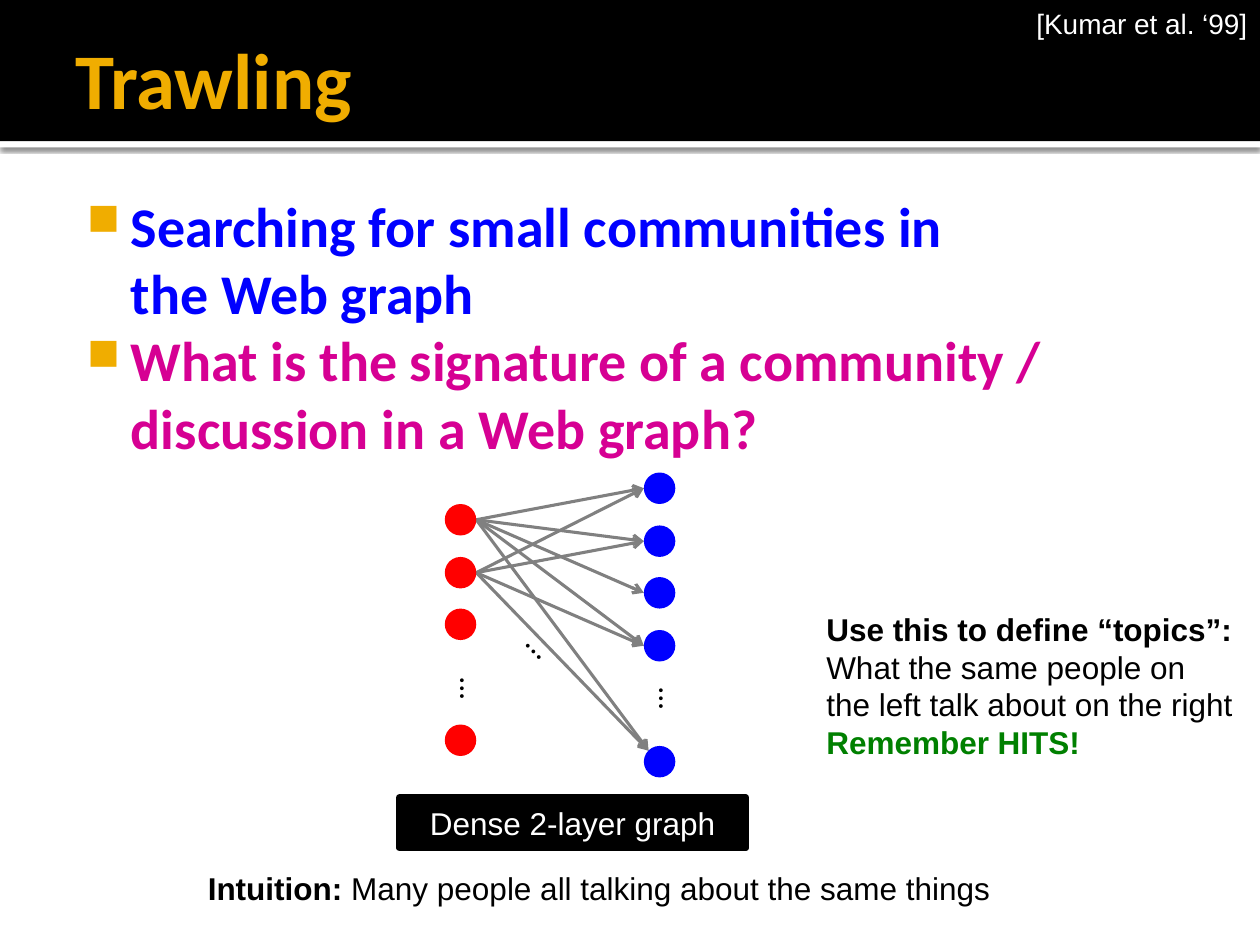
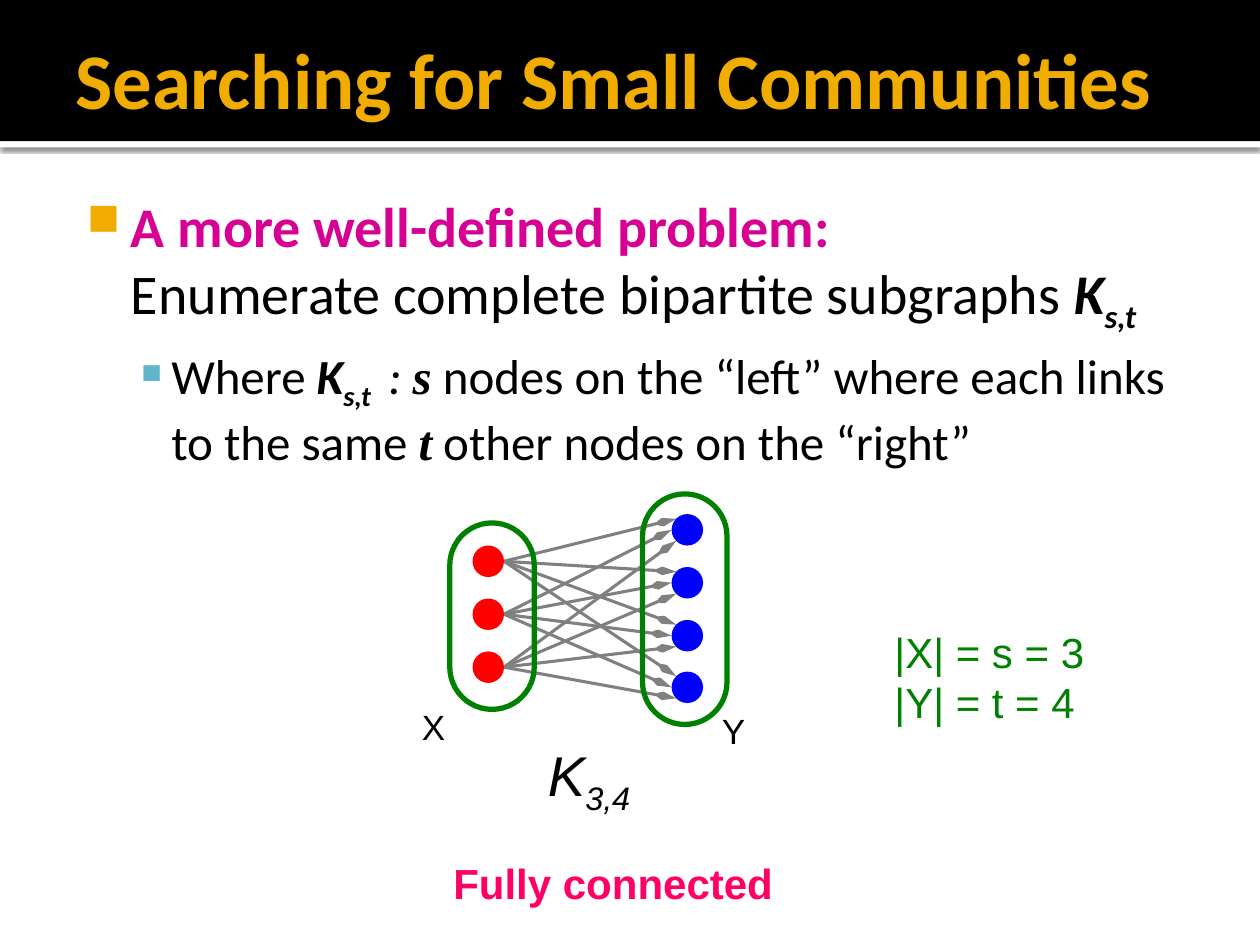
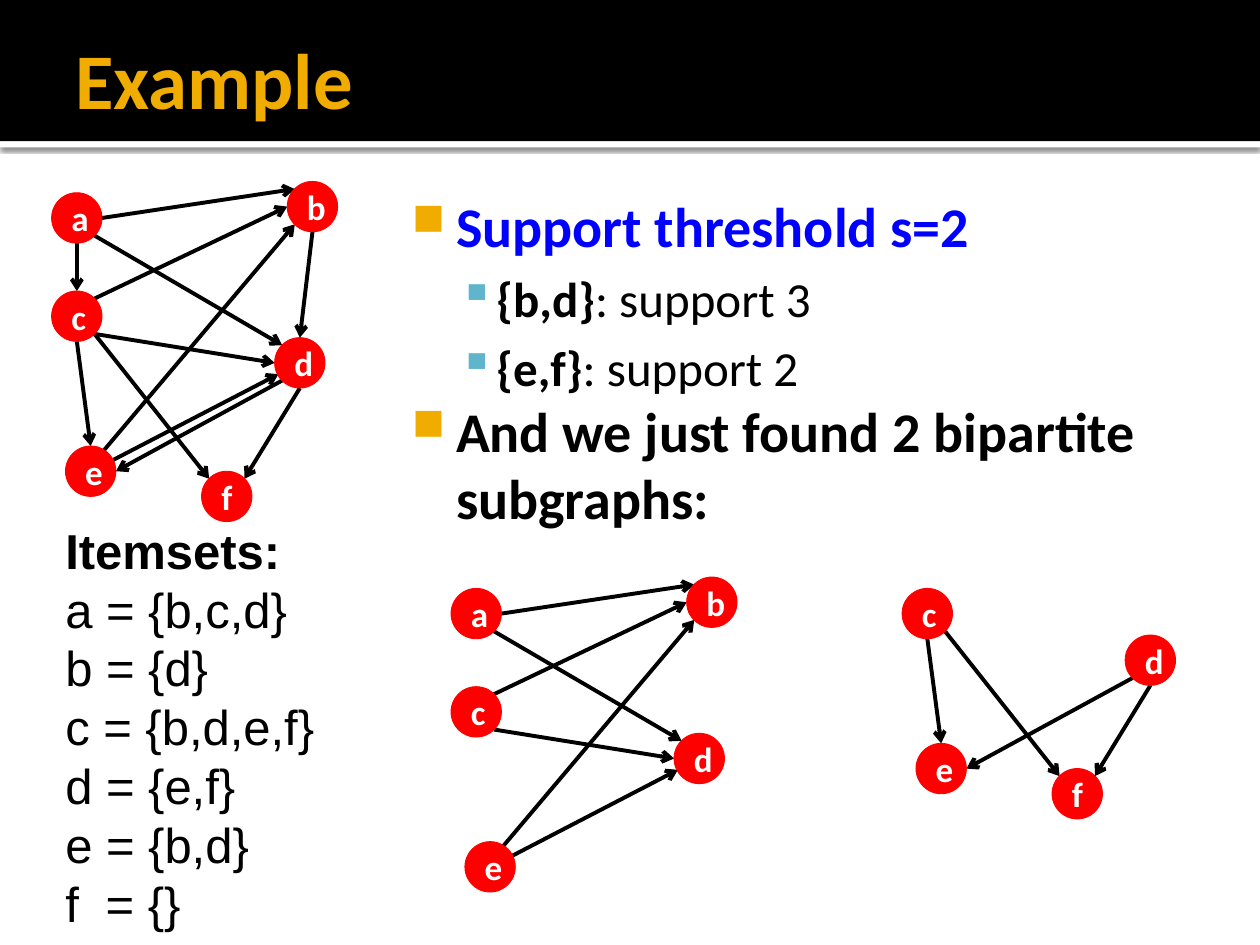
from lxml.etree import SubElement
from pptx import Presentation
from pptx.dml.color import RGBColor
from pptx.enum.shapes import MSO_CONNECTOR, MSO_SHAPE
from pptx.enum.text import MSO_ANCHOR, MSO_AUTO_SIZE, PP_ALIGN
from pptx.oxml.ns import qn
from pptx.util import Emu, Pt

PX = 9144
BLACK, WHITE, GREY = "000000", "FFFFFF", "808080"
GOLD, TEAL, MAGENTA, PINK = "F0AD00", "60B5CC", "D60093", "FF0066"
RED, BLUE, GREEN = "FF0000", "0000FF", "008000"

TITLE = {"font": "Calibri", "size": 45, "color": GOLD, "bold": True}
POINT = {"font": "Calibri", "size": 32, "color": BLACK, "bold": True,
         "bullet": ("■", GOLD, 80, 48, 35)}
SUBPOINT = {"font": "Calibri", "size": 28, "color": BLACK, "level": 1, "before": 5.6,
            "bullet": ("▪", TEAL, 100, 80, 30)}
LABEL = {"font": "Arial", "size": 18, "color": BLACK}
CENTERED = {**LABEL, "align": PP_ALIGN.CENTER}
ITEM = {**LABEL, "size": 28}
DOTS = {**LABEL, "font": "Calibri"}
NODE_NAME = {"font": "Calibri", "size": 20, "color": WHITE, "bold": True, "align": PP_ALIGN.CENTER}

STRONG, PLAIN = {"bold": True}, {"bold": False}
SYMBOL = {"bold": True, "italic": True}
SUBSCRIPT = {**SYMBOL, "baseline": -25000}
TIMES = {**SYMBOL, "font": "Times New Roman"}

TRAWLING_POINTS = [
    ({**POINT, "color": BLUE}, "Searching for small communities in \nthe Web graph"),
    ({**POINT, "color": MAGENTA}, "What is the signature of a community / discussion in a Web graph?"),
]
TRAWLING_LABELS = [
    ((810, 0, 190, 37), False, 0,
     [({**LABEL, "size": 16, "color": WHITE, "align": PP_ALIGN.RIGHT}, "[Kumar et al. ‘99]")]),
    ((117, 685, 717, 40), True, 0,
     [(CENTERED, [("Intuition:", STRONG), (" Many people all talking about the same things", {})])]),
    ((338, 525, 40, 40), False, 270, [(DOTS, "…")]),
    ((496, 533, 40, 40), False, 270, [(DOTS, "…")]),
    ((396, 502, 40, 40), False, 225.9, [(DOTS, "…")]),
    ((646, 479, 346, 131), False, 0,
     [({**LABEL, "bold": True}, "Use this to define “topics”:"),
      (LABEL, "What the same people on \nthe left talk about on the right"),
      ({**LABEL, "color": GREEN, "bold": True}, "Remember HITS!")]),
]
DENSE_LEFT = [(353, y) for y in (400, 442, 483, 575)]
DENSE_RIGHT = [(511, y) for y in (375, 417, 458, 500, 592)]
DENSE_LINKS = {0: (0, 1, 2, 3, 4), 1: (0, 1, 3, 4)}

COMMUNITY_POINTS = [
    (POINT, [("A more well-defined problem:\n", {"color": MAGENTA}),
             ("Enumerate complete bipartite subgraphs ", PLAIN),
             ("K", SYMBOL), ("s,t", SUBSCRIPT)]),
    (SUBPOINT, [("Where ", {}), ("K", SYMBOL), ("s,t ", SUBSCRIPT), (" : ", {"italic": True}),
                ("s", TIMES), (" nodes on the “left” where each links to the same ", {}),
                ("t", TIMES), (" other nodes on the “right”", {})]),
]
COMMUNITY_LABELS = [
    ((425, 583, 92, 64), False, 0,
     [({**LABEL, "size": 32, "italic": True}, [("K", {}), ("3,4", {"baseline": -25000})])]),
    ((700, 492, 172, 91), False, 0,
     [({**LABEL, "size": 24, "color": GREEN}, text) for text in ("|X| = s = 3", "|Y| = t = 4")]),
    ((325, 555, 39, 44), False, 0, [({**LABEL, "size": 20}, "X")]),
    ((563, 558, 39, 44), False, 0, [({**LABEL, "size": 20}, "Y")]),
    ((350, 676, 276, 50), False, 0,
     [({**LABEL, "size": 24, "color": PINK, "bold": True}, "Fully connected")]),
]
FULL_LEFT = [(375, y) for y in (433, 475, 517)]
FULL_RIGHT = [(533, y) for y in (408, 450, 492, 533)]
FULL_ENTRY_SIDES = ("NW", "W", "SW")
SET_OUTLINES = [(357, 415, 67, 148), (510, 392, 67, 183)]

EXAMPLE_POINTS = [
    ({**POINT, "color": BLUE}, "Support threshold s=2"),
    (SUBPOINT, [("{b,d}", STRONG), (": support 3", {})]),
    (SUBPOINT, [("{e,f}", STRONG), (": support 2", {})]),
    (POINT, "And we just found 2 bipartite subgraphs:"),
]
ITEMSETS = [({**ITEM, "bold": True}, "Itemsets:")] + [
    (ITEM, text) for text in ("a = {b,c,d}", "b = {d}", "c = {b,d,e,f}", "d = {e,f}", "e = {b,d}")
] + [({**ITEM, "tab": 32}, "f\t= {}")]
LETTERS = {"a": (41, 153), "b": (228, 144), "c": (41, 231),
           "d": (218, 268), "e": (52, 354), "f": (160, 374)}
LETTER_EDGES = [
    ("a", "SE", "d", "NW"), ("c", "NE", "b", "W"), ("b", "S", "d", "N"), ("c", "SE", "d", "W"),
    ("a", "S", "c", "N"), ("c", "S", "e", "N"), ("a", "E", "b", "NW"), ("d", "SW", "e", "E"),
    ("c", "SE", "f", "NW"), ("d", "S", "f", "NE"), ("e", "ENE", "d", "WSW"), ("e", "NNE", "b", "SW"),
]
GRAPHS = [("abcdef", "abcdef", 0, 0), ("ace", "bd", 317, 314), ("cd", "ef", 675, 236)]

SIDES = {"N": (0, -1), "S": (0, 1), "W": (-1, 0), "E": (1, 0),
         "NW": (-0.7, -0.7), "NE": (0.7, -0.7), "SW": (-0.7, 0.7), "SE": (0.7, 0.7),
         "ENE": (0.8, -0.4), "NNE": (0.5, -0.8), "WSW": (-0.85, 0.45)}
DOT, CIRCLE = 25, 40


def rgb(color):
    return RGBColor.from_string(color)


def px(*lengths):
    return [Emu(round(length * PX)) for length in lengths]


def set_font(font, style):
    if "font" in style:
        font.name = style["font"]
    if "size" in style:
        font.size = Pt(style["size"])
    if "color" in style:
        font.color.rgb = rgb(style["color"])
    if "bold" in style:
        font.bold = style["bold"]
    if "italic" in style:
        font.italic = style["italic"]


def set_bullet(para, mark, color, percent, left, hanging):
    properties = para._p.get_or_add_pPr()
    properties.set("marL", str(left * PX))
    properties.set("indent", str(-hanging * PX))
    SubElement(SubElement(properties, qn("a:buClr")), qn("a:srgbClr"), val=color)
    SubElement(properties, qn("a:buSzPct"), val=str(percent * 1000))
    SubElement(properties, qn("a:buChar"), char=mark)


def add_span(para, text, style):
    for number, line in enumerate(text.split("\n")):
        if number:
            para.add_line_break()
        if line:
            span = para.add_run()
            span.text = line
            set_font(span.font, style)
            if "baseline" in style:
                span._r.get_or_add_rPr().set("baseline", str(style["baseline"]))


def write(frame, paragraphs):
    for number, (style, spans) in enumerate(paragraphs):
        para = frame.add_paragraph() if number else frame.paragraphs[0]
        para.alignment = style.get("align", PP_ALIGN.LEFT)
        para.level = style.get("level", 0)
        if number and "before" in style:
            para.space_before = Pt(style["before"])
        if "bullet" in style:
            set_bullet(para, *style["bullet"])
        if "tab" in style:
            stops = SubElement(para._p.get_or_add_pPr(), qn("a:tabLst"))
            SubElement(stops, qn("a:tab"), pos=str(style["tab"] * PX), algn="l")
        set_font(para.font, style)
        for text, changes in [(spans, {})] if isinstance(spans, str) else spans:
            add_span(para, text, changes)


def add_text(page, place, paragraphs, wrap=True, insets=None, turn=0):
    box = page.shapes.add_textbox(*px(*place))
    box.rotation = turn
    frame = box.text_frame
    frame.word_wrap = wrap
    if insets:
        frame.margin_left, frame.margin_top, frame.margin_right, frame.margin_bottom = px(*insets)
    else:
        frame.auto_size = MSO_AUTO_SIZE.SHAPE_TO_FIT_TEXT
    write(frame, paragraphs)
    return frame


def add_labels(page, labels):
    for place, wrap, turn, paragraphs in labels:
        add_text(page, place, paragraphs, wrap=wrap, turn=turn)


def add_shape(page, kind, place, fill=None, line=None, width=0):
    shape = page.shapes.add_shape(kind, *px(*place))
    if fill:
        shape.fill.solid()
        shape.fill.fore_color.rgb = rgb(fill)
    else:
        shape.fill.background()
    if line:
        shape.line.color.rgb = rgb(line)
        shape.line.width = Pt(width)
    else:
        shape.line.fill.background()
    shape.shadow.inherit = False
    return shape


def add_dots(page, corners, color):
    for corner in corners:
        add_shape(page, MSO_SHAPE.OVAL, (*corner, DOT, DOT), color)


def side_point(corner, size, side):
    return [start + size / 2 * (1 + shift) for start, shift in zip(corner, SIDES[side])]


def add_arrow(page, start, end, color, width, head=("med", "med")):
    arrow = page.shapes.add_connector(MSO_CONNECTOR.STRAIGHT, *px(*start, *end))
    arrow.line.color.rgb = rgb(color)
    arrow.line.width = Pt(width)
    SubElement(arrow.line._get_or_add_ln(), qn("a:tailEnd"), type="arrow", w=head[0], len=head[1])
    SubElement(arrow._element.spPr, qn("a:effectLst"))


def add_page(deck, title, points, title_width=900, body_left=50, body_width=900):
    page = deck.slides.add_slide(deck.slide_layouts[6])
    stripe = add_shape(page, MSO_SHAPE.RECTANGLE, (0, 112, 1000, 5), WHITE)
    shadow = SubElement(stripe._element.spPr.find(qn("a:effectLst")), qn("a:outerShdw"),
                        blurRad="31750", dist="10160", dir="5400000", rotWithShape="0")
    SubElement(SubElement(shadow, qn("a:srgbClr"), val=BLACK), qn("a:alpha"), val="60000")
    add_shape(page, MSO_SHAPE.RECTANGLE, (0, 0, 1000, 112), BLACK)
    heading = add_text(page, (50, 8, title_width, 108), [(TITLE, title)], insets=(10, 5, 5, 5))
    heading.vertical_anchor = MSO_ANCHOR.MIDDLE
    add_text(page, (body_left, 142, body_width, 575), points, insets=(6, 10, 10, 5))
    return page


def add_trawling(deck):
    page = add_page(deck, "Trawling", TRAWLING_POINTS)
    caption = add_shape(page, MSO_SHAPE.RECTANGLE, (317, 633, 275, 40), BLACK, BLACK, 3.78)
    caption.text_frame.vertical_anchor = MSO_ANCHOR.TOP
    write(caption.text_frame, [({**CENTERED, "color": WHITE}, "Dense 2-layer graph")])
    last = len(DENSE_RIGHT) - 1
    for source, targets in DENSE_LINKS.items():
        for target in targets:
            add_arrow(page, side_point(DENSE_LEFT[source], DOT, "E"),
                      side_point(DENSE_RIGHT[target], DOT, "NW" if target == last else "W"), GREY, 1.75)
    add_dots(page, DENSE_LEFT, RED)
    add_dots(page, DENSE_RIGHT, BLUE)
    add_labels(page, TRAWLING_LABELS)


def add_communities(deck):
    page = add_page(deck, "Searching for Small Communities", COMMUNITY_POINTS, title_width=950)
    for source, side in zip(FULL_LEFT, FULL_ENTRY_SIDES):
        for target in FULL_RIGHT:
            add_arrow(page, side_point(source, DOT, "E"), side_point(target, DOT, side),
                      GREY, 1.75, ("sm", "lg"))
    add_dots(page, FULL_LEFT, RED)
    add_dots(page, FULL_RIGHT, BLUE)
    for place in SET_OUTLINES:
        outline = add_shape(page, MSO_SHAPE.ROUNDED_RECTANGLE, place, None, GREEN, 3)
        outline.adjustments[0] = 0.5
    add_labels(page, COMMUNITY_LABELS)


def add_letter_graph(page, sources, targets, left, top):
    corners = {name: (x + left, y + top) for name, (x, y) in LETTERS.items()
               if name in sources + targets}
    for source, exit_side, target, entry_side in LETTER_EDGES:
        if source in sources and target in targets:
            add_arrow(page, side_point(corners[source], CIRCLE, exit_side),
                      side_point(corners[target], CIRCLE, entry_side), BLACK, 2.25)
    for name, corner in corners.items():
        node = add_shape(page, MSO_SHAPE.OVAL, (*corner, CIRCLE, CIRCLE), RED, RED, 0.5)
        node.text_frame.vertical_anchor = MSO_ANCHOR.MIDDLE
        write(node.text_frame, [(NODE_NAME, name)])


def add_example(deck):
    page = add_page(deck, "Example", EXAMPLE_POINTS, body_left=308, body_width=683)
    add_text(page, (42, 408, 220, 340), ITEMSETS, wrap=False)
    for graph in GRAPHS:
        add_letter_graph(page, *graph)


def main():
    deck = Presentation()
    deck.slide_width, deck.slide_height = px(1000, 750)
    add_trawling(deck)
    add_communities(deck)
    add_example(deck)
    deck.save("out.pptx")


if __name__ == "__main__":
    main()
